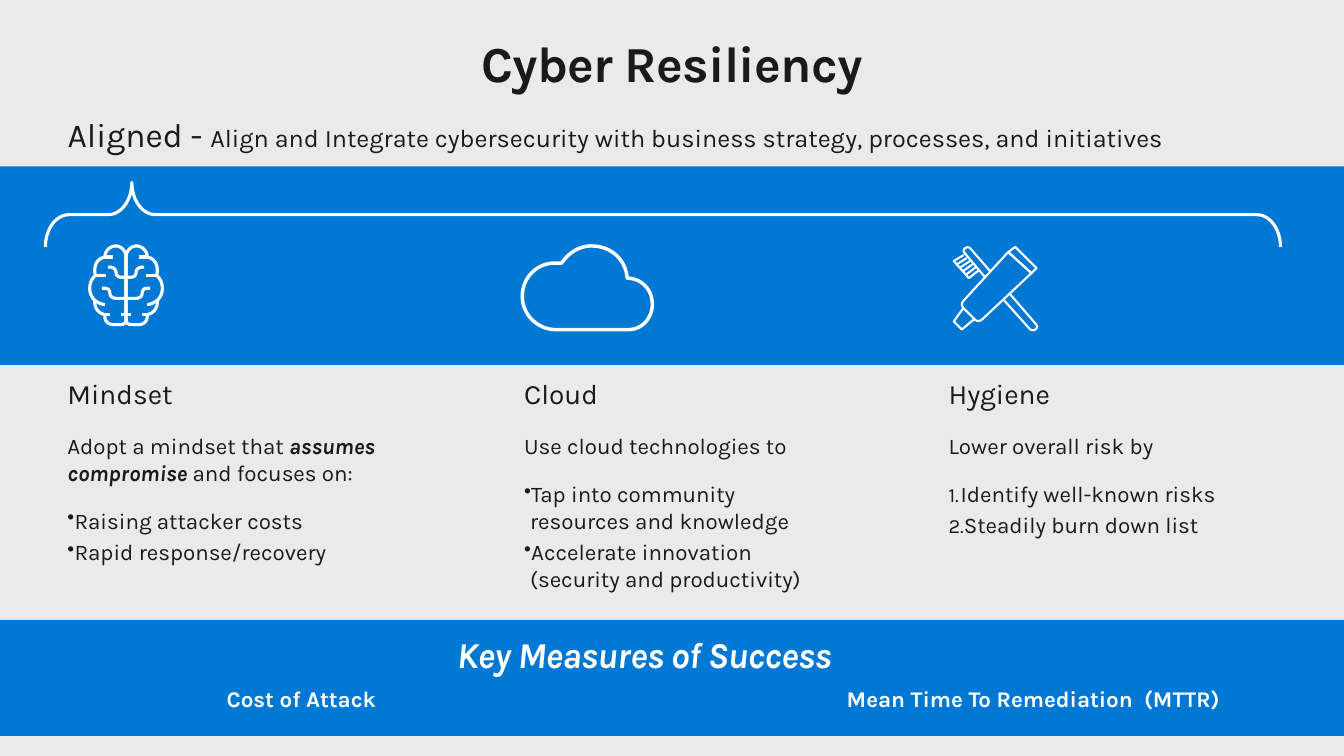
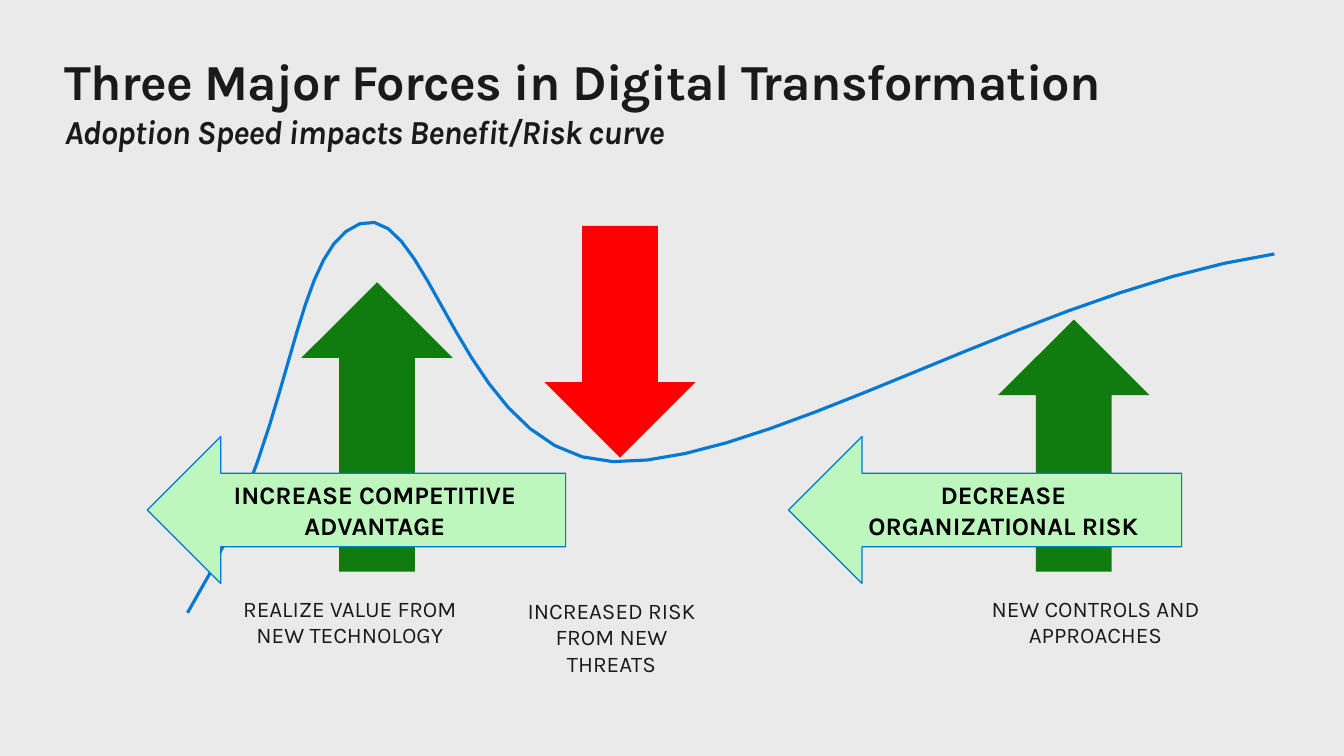
from dataclasses import dataclass

from lxml import etree
from pptx import Presentation
from pptx import util as u
from pptx.dml import color
from pptx.enum import shapes, text
from pptx.oxml import ns

KIND = shapes.MSO_SHAPE
MID = text.PP_ALIGN.CENTER


@dataclass(frozen=True)
class Theme:
    font: str = "Karla"
    back: str = "EAEAEA"
    ink: str = "1A1A1A"
    blue: str = "0078D4"
    white: str = "FFFFFF"
    black: str = "000000"
    green: str = "107C10"
    mint: str = "BDF7BD"
    red: str = "FF0000"
    title: int = 36
    key: int = 26
    lead: int = 24
    head: int = 20
    mark: int = 18
    body: int = 16


T = Theme()
WIDE, HIGH = 13.33, 7.5


# Shared helpers
def rgb(code):
    return color.RGBColor.from_string(code)


def inch(*nums):
    return [u.Inches(n) for n in nums]


def fit(item, **vals):
    for name, val in vals.items():
        setattr(item, name, val)


def paint(shape, fill=None, line=None, width=1):
    shape.shadow.inherit = False
    if fill:
        shape.fill.solid()
        shape.fill.fore_color.rgb = rgb(fill)
    else:
        shape.fill.background()
    if line:
        shape.line.color.rgb = rgb(line)
        shape.line.width = u.Pt(width)
    else:
        shape.line.fill.background()
    return shape


def block(tree, kind, box, fill=None, line=None, width=1):
    return paint(tree.add_shape(kind, *inch(*box)), fill, line, width)


def bullet(para, sign, gap):
    props = para._p.get_or_add_pPr()
    props.set("marL", str(u.Inches(gap)))
    props.set("indent", str(-u.Inches(gap)))
    tags = [("buSzPct", "val", "90000")]
    if sign == "1.":
        tags.append(("buAutoNum", "type", "arabicPeriod"))
    else:
        tags.append(("buChar", "char", sign))
    for tag, key, val in tags:
        etree.SubElement(props, ns.qn("a:" + tag)).set(key, val)


def write(frame, paras, tone=T.ink, pad=(0, 0), **look):
    """Each paragraph is (runs, format); each run is (words, font values)."""
    side, edge = inch(*pad)
    fit(frame, word_wrap=True, margin_left=side, margin_right=side,
        margin_top=edge, margin_bottom=edge, **look)
    for num, (runs, form) in enumerate(paras):
        para = frame.add_paragraph() if num else frame.paragraphs[0]
        form = dict(form)
        mark = form.pop("mark", None)
        if mark:
            bullet(para, *mark)
        fit(para, **form)
        for words, face in runs:
            face = dict(face)
            size, tight = face.pop("size", T.body), face.pop("tight", False)
            run = para.add_run()
            run.text = words
            fit(run.font, name=T.font, size=u.Pt(size), **face)
            run.font.color.rgb = rgb(tone)
            if tight:
                run._r.get_or_add_rPr().set("spc", "-50")


def label(tree, box, paras, **look):
    look.setdefault("vertical_anchor", text.MSO_ANCHOR.TOP)
    write(tree.add_textbox(*inch(*box)).text_frame, paras, **look)


def title(tree, box, words, **form):
    face = dict(size=T.title, bold=True, tight=True)
    sub = dict(face, size=T.lead, italic=True)
    label(tree, box, [([(word, sub if num else face)], form)
                      for num, word in enumerate(words)])


def trace(steps, count=14):
    """Turn a start point, lines (x, y) and cubic curves into points."""
    pts = [steps[0]]
    for step in steps[1:]:
        if len(step) == 2:
            pts.append(step)
            continue
        ctrl = [pts[-1], step[:2], step[2:4], step[4:]]
        for k in range(1, count + 1):
            t = k / count
            mix = ((1 - t) ** 3, 3 * t * (1 - t) ** 2, 3 * t * t * (1 - t), t ** 3)
            pts.append(tuple(sum(m * c[a] for m, c in zip(mix, ctrl))
                             for a in (0, 1)))
    return pts


def draw(tree, spot, lines, tone, width, close=False):
    pen = None
    for steps in lines:
        pts = [inch(spot[0] + x, spot[1] + y) for x, y in trace(steps)]
        if pen is None:
            pen = tree.build_freeform(*pts[0], scale=1.0)
        else:
            pen.move_to(*pts[0])
        pen.add_line_segments(pts[1:], close=close)
    return paint(pen.convert_to_shape(), None, tone, width)


# Icons
def brain(tree, spot):
    half = [
        [(.15, .68), (.09, .67, .05, .62, .05, .56), (.05, .54),
         (.02, .51, 0, .47, 0, .42), (0, .37, .02, .32, .06, .29),
         (.05, .28, .05, .26, .05, .24), (.05, .17, .09, .12, .15, .11),
         (.15, .05, .2, 0, .26, 0), (.31, 0, .36, .05, .36, .11), (.36, .73),
         (.36, .76, .34, .78, .31, .78), (.23, .78),
         (.19, .78, .15, .75, .15, .7), (.15, .68)],
        [(.12, .42), (.15, .42), (.18, .42, .2, .44, .2, .47),
         (.2, .5, .23, .52, .26, .52), (.36, .52)],
        [(.18, .21), (.2, .21), (.23, .21, .26, .23, .26, .26),
         (.26, .29, .28, .31, .31, .31), (.36, .31)],
        [(.05, .54), (.08, .56, .11, .58, .15, .58)],
        [(.06, .29), (.16, .29)],
        [(.15, .11), (.23, .11)],
        [(.15, .68), (.2, .68)],
        [(.31, .68), (.36, .68)],
    ]
    twin = [[tuple(n if k % 2 else .72 - n for k, n in enumerate(step))
             for step in steps] for steps in half]
    draw(tree, spot, half + twin, T.white, 2.25)


def cloud(tree, spot):
    edge = [(.33, .83), (.15, .83, 0, .68, 0, .5), (0, .31, .15, .17, .32, .17),
            (.39, .17), (.46, .07, .56, 0, .69, 0), (.88, 0, 1.03, .14, 1.04, .32),
            (1.18, .32, 1.29, .43, 1.29, .58), (1.29, .71, 1.19, .83, 1.06, .83)]
    draw(tree, spot, [edge], T.white, 2.5, close=True)


def brush(tree, spot):
    tube = [
        [(.55, .06), (.62, .01), (.83, .22), (.78, .27)],
        [(.55, .06), (.11, .54), (.08, .57, .09, .6, .11, .62), (.22, .73),
         (.24, .75, .26, .75, .29, .73), (.78, .27)],
    ]
    stem = [
        [(.11, .61), (.01, .75), (.09, .83), (.22, .72)],
        [(.51, .54), (.76, .82), (.79, .86, .87, .82, .82, .77), (.57, .48)],
        [(.32, .31), (.11, .06), (.1, .03, .14, 0, .17, .02), (.37, .25)],
        [(.11, .09), (.01, .15), (.16, .32), (.26, .24)],
    ]
    rungs = [[(.01 + .03 * k, .15 + .034 * k), (.11 + .03 * k, .09 + .03 * k)]
             for k in range(1, 5)]
    draw(tree, spot, tube, T.white, 1.5, close=True)
    draw(tree, spot, stem + rungs, T.white, 1.5)


# Slide 1 regions
def band(tree, box):
    left, top, wide, _ = box
    block(tree, KIND.RECTANGLE, box, T.blue)
    span, deep = 12.25, .64
    mid = left + .45 + span / 2, top + .16 + deep / 2
    brace = block(tree, KIND.LEFT_BRACE,
                  (mid[0] - deep / 2, mid[1] - span / 2, deep, span),
                  None, T.white, 2.25)
    brace.rotation = 90
    for num, val in enumerate((.366, .93)):
        brace.adjustments[num] = val
    for icon, x in ((brain, .89), (cloud, 5.18), (brush, 9.45)):
        icon(tree, (left + x, top + .79))


def column(tree, box, head, intro, items, mark):
    gap = dict(space_after=u.Pt(12))
    rise = dict(space_before=u.Pt(3.2))
    paras = [([(head, dict(size=T.head))], gap), (intro, {**gap, **rise})]
    paras += [([(item, {})], dict(rise, mark=mark)) for item in items]
    label(tree, box, paras, pad=(.1, .05))


def success(tree, box):
    left, top, wide, _ = box
    tree = tree.add_group_shape().shapes
    block(tree, KIND.RECTANGLE, box, T.blue)
    key = dict(size=T.key, bold=True, italic=True, tight=True)
    look = dict(tone=T.white, pad=(.1, .05))
    label(tree, (left + 3.39, top + .07, 6, .54),
          [([("Key Measures of Success", key)], dict(alignment=MID))], **look)
    for x, size, words in ((2.15, 2, "Cost of Attack"),
                           (8.3, 4.3, "Mean Time To Remediation  (MTTR)")):
        label(tree, (left + x, top + .6, size, .37),
              [([(words, dict(bold=True))], {})], **look)


def cyber(tree):
    title(tree, (.64, .32, 12.05, .61), ["Cyber Resiliency"], alignment=MID)
    label(tree, (.67, 1.13, 12.02, .4), [([
        ("Aligned - ", dict(size=T.lead)),
        ("Align and Integrate cybersecurity with business strategy, "
         "processes, and initiatives", dict(size=T.mark))], {})])
    band(tree, (0, 1.65, WIDE, 1.97))
    dot, num = ("•", .06), ("1.", .12)
    for x, wide, *rest in (
        (.57, 3.78, "Mindset",
         [("Adopt a mindset that ", {}),
          ("assumes compromise ", dict(bold=True, italic=True)),
          ("and focuses on:", {})],
         ["Raising attacker costs", "Rapid response/recovery"], dot),
        (5.1, 3.2, "Cloud", [("Use cloud technologies to", {})],
         ["Tap into community resources and knowledge",
          "Accelerate innovation (security and productivity)"], dot),
        (9.31, 3.27, "Hygiene", [("Lower overall risk by", {})],
         ["Identify well-known risks", "Steadily burn down list"], num),
    ):
        column(tree, (x, 3.69, wide, 2.34), *rest)
    success(tree, (0, 6.15, WIDE, 1.15))


# Slide 2 regions
def force(tree, box, kind, tone, note, words):
    block(tree, kind, box, tone)
    label(tree, note, [([(words, {})], dict(alignment=MID))])


def curve(tree, box):
    wave = [(0, 3.88), (1.1, 2.08, 1.01, .27, 1.71, .02),
            (2.41, -.23, 2.71, 2.33, 4.22, 2.38),
            (5.73, 2.43, 8.47, .66, 10.78, .32)]
    draw(tree, box, [[tuple(n for n in step) for step in wave]], T.blue, 2.25)


def push(tree, box, words):
    shape = block(tree, KIND.LEFT_ARROW, box, T.mint, T.blue, .85)
    write(shape.text_frame,
          [([(words, dict(size=T.mark, bold=True))], dict(alignment=MID))],
          tone=T.black, pad=(.2, .16), vertical_anchor=text.MSO_ANCHOR.MIDDLE)


def forces(tree):
    title(tree, (.64, .5, 12.05, 1.01),
          ["Three Major Forces in Digital Transformation",
           "Adoption Speed impacts Benefit/Risk curve"])
    for row in (
        ((2.99, 2.8, 1.5, 2.87), KIND.UP_ARROW, T.green,
         (2.17, 5.9, 2.6, .54), "REALIZE VALUE FROM NEW TECHNOLOGY"),
        ((5.4, 2.24, 1.5, 2.3), KIND.DOWN_ARROW, T.red,
         (5.18, 5.92, 1.77, .81), "INCREASED RISK FROM NEW THREATS"),
        ((9.9, 3.17, 1.5, 2.5), KIND.UP_ARROW, T.green,
         (9.74, 5.9, 2.25, .54), "NEW CONTROLS AND APPROACHES"),
    ):
        force(tree, *row)
    curve(tree, (1.86, 2.2))
    push(tree, (7.82, 4.33, 3.9, 1.46), "DECREASE ORGANIZATIONAL RISK")
    push(tree, (1.46, 4.33, 4.15, 1.46), "INCREASE COMPETITIVE ADVANTAGE")


def main():
    deck = Presentation()
    fit(deck, slide_width=u.Inches(WIDE), slide_height=u.Inches(HIGH))
    for build in (cyber, forces):
        slide = deck.slides.add_slide(deck.slide_layouts[6])
        slide.background.fill.solid()
        slide.background.fill.fore_color.rgb = rgb(T.back)
        build(slide.shapes)
    deck.save("out.pptx")


if __name__ == "__main__":
    main()
